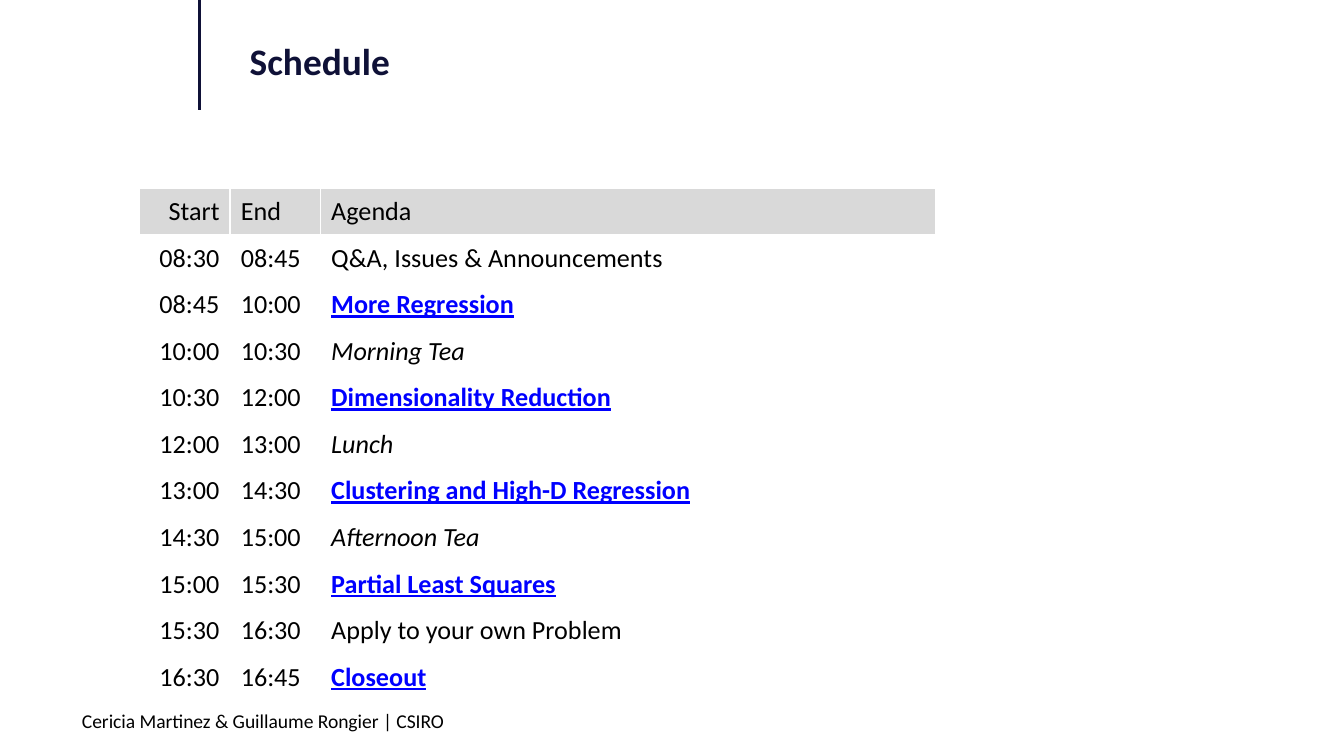
from itertools import pairwise

from pptx import Presentation
from pptx.dml.color import RGBColor
from pptx.enum.shapes import MSO_CONNECTOR
from pptx.enum.text import MSO_ANCHOR as Anchor, PP_ALIGN as Align
from pptx.oxml.ns import qn
from pptx.util import Cm, Pt
from lxml.etree import SubElement

COLORS = {"navy": "0F1137", "text": "000000", "link": "0000FF", "header": "D9D9D9"}
FONT = "Calibri"

STYLES = {
    "plain": {},
    "break": {"italic": True},
    "link": {"bold": True, "underline": True},
}
TIMES = ["08:30", "08:45", "10:00", "10:30", "12:00", "13:00",
         "14:30", "15:00", "15:30", "16:30", "16:45"]
AGENDA = [
    ("Q&A, Issues & Announcements", "plain"),
    ("More Regression", "link"),
    ("Morning Tea", "break"),
    ("Dimensionality Reduction", "link"),
    ("Lunch", "break"),
    ("Clustering and High-D Regression", "link"),
    ("Afternoon Tea", "break"),
    ("Partial Least Squares", "link"),
    ("Apply to your own Problem", "plain"),
    ("Closeout", "link"),
]


def rgb(name):
    return RGBColor.from_string(COLORS[name])


def write(tf, text, size, color="text", align=Align.LEFT, **style):
    p = tf.paragraphs[0]
    p.alignment = align
    r = p.add_run()
    r.text = text
    for key, value in {"name": FONT, "size": Pt(size), **style}.items():
        setattr(r.font, key, value)
    r.font.color.rgb = rgb(color)


def add_text(slide, box, text, size, anchor, **style):
    tf = slide.shapes.add_textbox(*map(Cm, box)).text_frame
    tf.word_wrap = True
    tf.vertical_anchor = anchor
    write(tf, text, size, **style)


def add_title(slide, box, text):
    """Put a bold title to the right of a rule that hangs from the slide top."""
    rule_x = Cm(box[0] - 0.7)
    rule = slide.shapes.add_connector(MSO_CONNECTOR.STRAIGHT, rule_x, 0, rule_x, Cm(2.08))
    rule.line.color.rgb = rgb("navy")
    rule.line.width = Pt(1.25)
    SubElement(rule._element.spPr, qn("a:effectLst"))
    add_text(slide, box, text, 20, Anchor.MIDDLE, color="navy", bold=True)


def add_schedule(slide, box):
    rows = [("Start", "End", "Agenda", "plain")]
    rows += [(*slot, *item) for slot, item in zip(pairwise(TIMES), AGENDA)]
    table = slide.shapes.add_table(len(rows), 3, *map(Cm, box)).table
    table.horz_banding = False
    time_width = 1.71
    for col, width in zip(table.columns, (time_width, time_width, box[2] - 2 * time_width)):
        col.width = Cm(width)
    for i, (row, (*texts, kind)) in enumerate(zip(table.rows, rows)):
        row.height = Cm(box[3] / len(rows))
        for j, (cell, text) in enumerate(zip(row.cells, texts)):
            if i == 0:
                cell.fill.solid()
                cell.fill.fore_color.rgb = rgb("header")
            else:
                cell.fill.background()
            cell.vertical_anchor = Anchor.MIDDLE
            cell.margin_left = cell.margin_right = Cm(0.2)
            cell.margin_top = cell.margin_bottom = Cm(0.1)
            style = {"bold": False, **(STYLES[kind] if j == 2 else {})}
            write(cell.text_frame, text, 14,
                  color="link" if j == 2 and kind == "link" else "text",
                  align=Align.RIGHT if j == 0 else Align.LEFT, **style)


def main():
    prs = Presentation()
    prs.slide_width, prs.slide_height = Cm(25.4), Cm(14.29)
    slide = prs.slides.add_slide(prs.slide_layouts[6])
    add_title(slide, (4.47, 0.53, 19.3, 1.24), "Schedule")
    add_text(slide, (1.3, 13.28, 19.3, 0.61),
             "Cericia Martinez & Guillaume Rongier | CSIRO", 10.5, Anchor.TOP)
    add_schedule(slide, (2.64, 3.56, 15.04, 9.68))
    prs.save("out.pptx")


if __name__ == "__main__":
    main()
